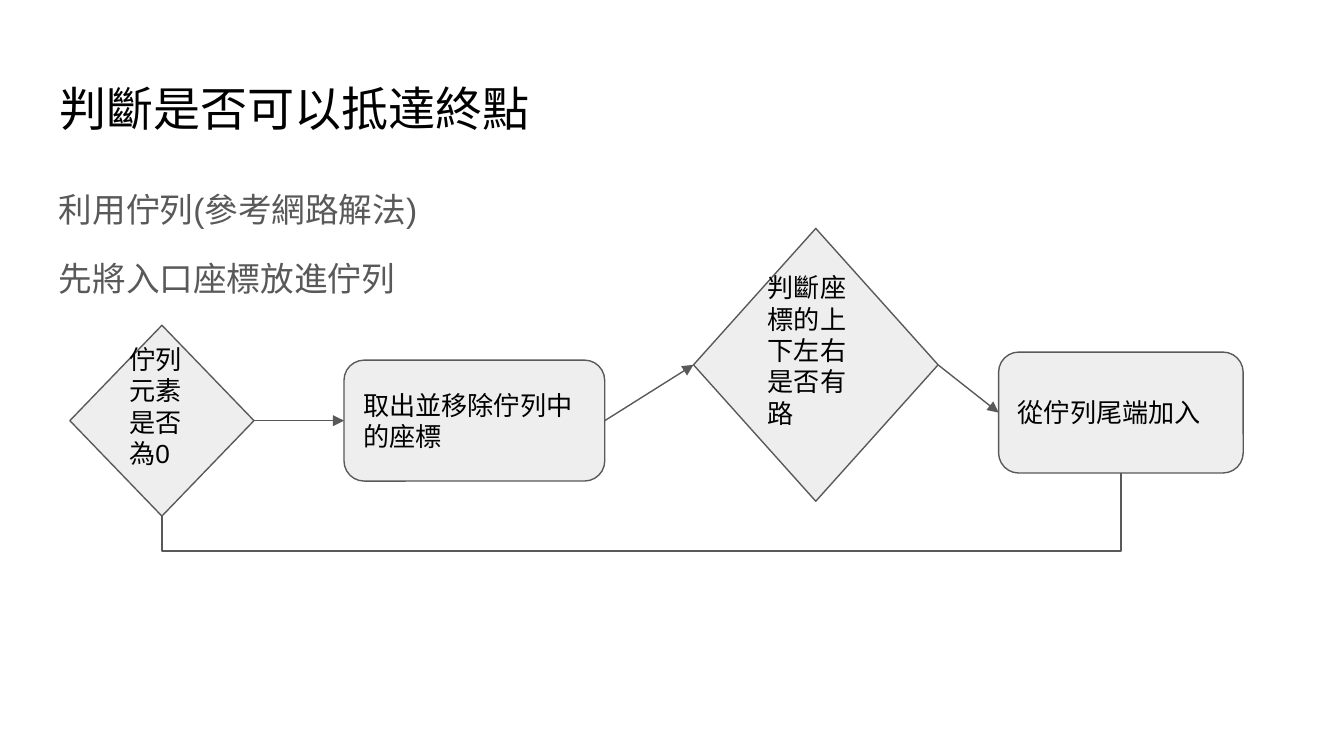
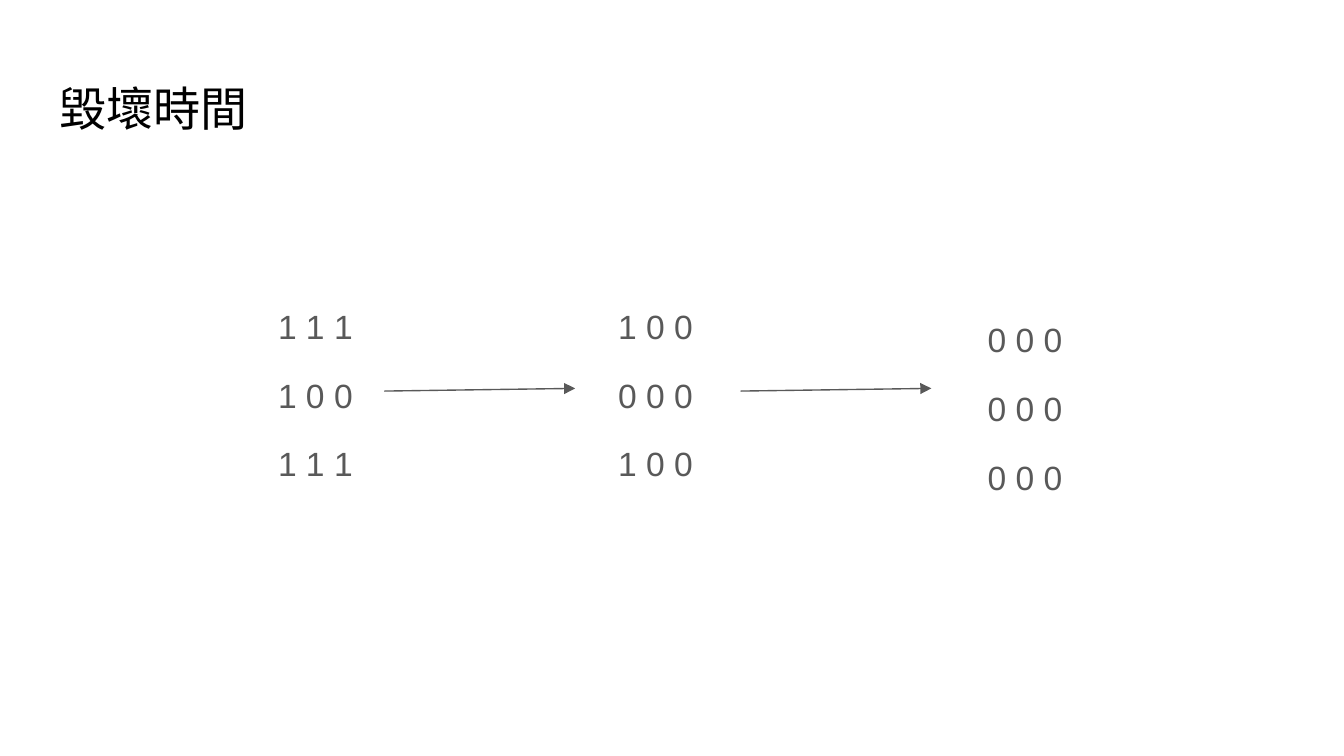
from pptx import Presentation
from pptx.dml.color import RGBColor
from pptx.enum.shapes import MSO_CONNECTOR as Link, MSO_SHAPE as Kind
from pptx.enum.text import MSO_ANCHOR as Anchor, MSO_AUTO_SIZE as Fit, PP_ALIGN as Align
from pptx.oxml.ns import qn
from pptx.util import Inches, Pt
from lxml.etree import SubElement

# Shared style
BLACK = RGBColor(0x00, 0x00, 0x00)
GRAY = RGBColor(0x59, 0x59, 0x59)
PALE = RGBColor(0xEE, 0xEE, 0xEE)
FONT = "Arial"
PAD = 0.1
TITLE = (0.34, 0.49, 9.32, 0.63)
LEFT, RIGHT = 1, 3  # connection sites


def write(frame, lines, size, color, anchor=Anchor.TOP, low=PAD):
    """Fill a text frame; return its paragraphs."""
    frame.word_wrap = True
    frame.auto_size = Fit.NONE
    frame.vertical_anchor = anchor
    frame.margin_left = frame.margin_right = frame.margin_top = Inches(PAD)
    frame.margin_bottom = Inches(low)
    frame.text = "\n".join(lines)
    for par in frame.paragraphs:
        par.alignment = Align.LEFT
        par.font.name = FONT
        par.font.size = Pt(size)
        par.font.color.rgb = color
    return frame.paragraphs


def add_page(deck, text):
    """Add a slide with the common title."""
    page = deck.slides.add_slide(deck.slide_layouts[5])
    head = page.shapes.title
    head.left, head.top, head.width, head.height = map(Inches, TITLE)
    write(head.text_frame, [text], 25.2, BLACK)
    return page


def add_body(page, box, lines):
    area = page.shapes.add_textbox(*map(Inches, box))
    pars = write(area.text_frame, lines, 18, GRAY)
    for i, par in enumerate(pars):
        par.line_spacing = 1.15
        if i:
            par.space_before = Pt(12)


def add_step(page, kind, box, text, low=PAD):
    step = page.shapes.add_shape(kind, *map(Inches, box))
    step.shadow.inherit = False
    step.fill.solid()
    step.fill.fore_color.rgb = PALE
    step.line.color.rgb = GRAY
    step.line.width = Pt(0.75)
    write(step.text_frame, [text], 14, BLACK, Anchor.MIDDLE, low)
    return step


def add_line(page, ends, kind=Link.STRAIGHT, arrow=True):
    line = page.shapes.add_connector(kind, *ends)
    line.line.color.rgb = GRAY
    line.line.width = Pt(0.75)
    props = line._element.spPr
    if arrow:
        SubElement(props.find(qn("a:ln")), qn("a:tailEnd"), type="triangle")
    SubElement(props, qn("a:effectLst"))
    return line


def add_loop(page, start, end, drop):
    """Run a line under the steps, from bottom centre to bottom centre."""
    x1, y1 = start.left + start.width // 2, start.top + start.height
    x2, y2 = end.left + end.width // 2, end.top + end.height
    midx, midy = (x1 + x2) // 2, (y1 + y2) // 2
    wide, tall = y2 - y1, x1 - x2  # sides before the quarter turn
    left, top = midx - wide // 2, midy - tall // 2
    loop = add_line(page, (left, top, left + wide, top + tall), Link.ELBOW, False)
    props = loop._element.spPr
    props.find(qn("a:xfrm")).set("rot", "5400000")
    bend = round((drop - y1) / wide * 100000)
    guides = props.find(qn("a:prstGeom")).get_or_add_avLst()
    SubElement(guides, qn("a:gd"), name="adj1", fmla=f"val {bend}")


def add_flow(page, x, y):
    """Draw the queue loop with its top left corner at x, y."""
    low = 0.32  # lifts the text in the diamonds
    parts = [
        (Kind.DIAMOND, (0, 0.72, 1.37, 1.42), "佇列元素是否為0", low),
        (Kind.ROUNDED_RECTANGLE, (2.04, 0.98, 1.94, 0.9), "取出並移除佇列中的座標", PAD),
        (Kind.DIAMOND, (4.64, 0, 1.82, 2.03), "判斷座標的上下左右是否有路", low),
        (Kind.ROUNDED_RECTANGLE, (6.91, 0.92, 1.82, 0.9), "從佇列尾端加入", PAD),
    ]
    steps = [add_step(page, kind, (x + dx, y + dy, w, h), text, pad)
             for kind, (dx, dy, w, h), text, pad in parts]
    add_loop(page, steps[-1], steps[0], Inches(y + 2.4))
    for one, two in zip(steps, steps[1:]):
        line = add_line(page, (0, 0, 0, 0))
        line.begin_connect(one, RIGHT)
        line.end_connect(two, LEFT)


def add_grids(page, y):
    """Show the grid states in a row, with arrows between them."""
    grids = [
        (1.97, 0, ["1 1 1", "1 0 0", "1 1 1"]),
        (4.5, 0, ["1 0 0", "0 0 0", "1 0 0"]),
        (7.25, 0.1, ["0 0 0", "0 0 0", "0 0 0"]),
    ]
    for x, dy, rows in grids:
        add_body(page, (x, y + dy, 0.89, 1.55), rows)
    for x in (2.86, 5.51):
        add_line(page, map(Inches, (x, y + 0.78, x + 1.42, y + 0.76)))


def main():
    deck = Presentation()
    deck.slide_width = Inches(10)
    deck.slide_height = deck.slide_width * 9 // 16

    # Reaching the goal
    page = add_page(deck, "判斷是否可以抵達終點")
    add_body(page, (0.34, 1.26, 9.32, 3.74), ["利用佇列(參考網路解法)", "先將入口座標放進佇列"])
    add_flow(page, 0.52, 1.7)

    # Time to ruin
    page = add_page(deck, "毀壞時間")
    add_grids(page, 2.13)

    deck.save("out.pptx")


if __name__ == "__main__":
    main()
